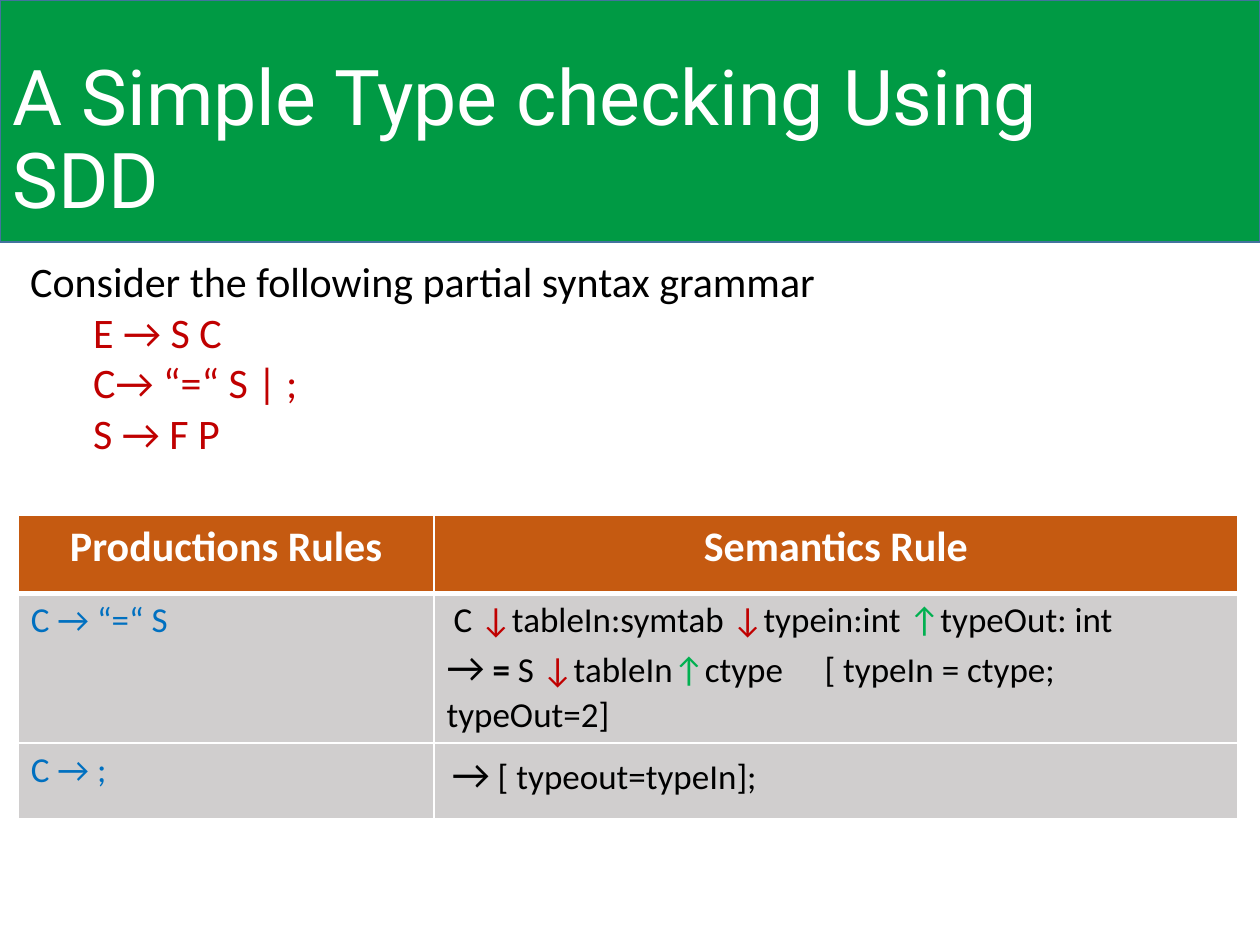
from lxml.etree import SubElement as Sub
from pptx import Presentation
from pptx.dml.color import RGBColor as Rgb
from pptx.enum.shapes import MSO_SHAPE as Kind
from pptx.enum.text import MSO_ANCHOR as Anchor, MSO_AUTO_SIZE as Fit, PP_ALIGN as Align
from pptx.oxml.ns import qn
from pptx.util import Pt

HUES = {
    "white": "FFFFFF", "black": "000000", "green": "009A44", "edge": "43739E",
    "rust": "C55A11", "grey": "D0CECE", "blue": "0070C0", "red": "C00000", "leaf": "00B050",
}
DOWN = ("↓", {"hue": "red"})
UP = ("↑", {"hue": "leaf"})
ARROW = ("→", {"size": 24})
GRAMMAR = ["E → S C", "C→ “=“ S | ;", "S → F P"]
HEADS = ["Productions Rules", "Semantics Rule"]
RULES = [
    ("C → “=“ S", [
        (4, ["C ", DOWN, "tableIn:symtab ", DOWN, "typein:int ", UP, "typeOut: int"]),
        (0, [ARROW, " ", ("=", {"bold": True}), " S ", DOWN, "tableIn", UP,
             "ctype\t[ typeIn = ctype; typeOut=2]"]),
    ]),
    ("C → ;", [(3, [ARROW, " [ typeout=typeIn];"])]),
]


def paint(fill, hue):
    """Give a fill one solid colour."""
    fill.solid()
    fill.fore_color.rgb = Rgb.from_string(HUES[hue])


def place(shape, *box):
    """Set left, top, width and height in points."""
    for name, val in zip(("left", "top", "width", "height"), box):
        setattr(shape, name, Pt(val))


def write(para, text, hue="black", size=24, bold=False, name="Calibri"):
    """Add one formatted run."""
    run = para.add_run()
    run.text = text
    for key, val in {"size": Pt(size), "bold": bold, "name": name}.items():
        setattr(run.font, key, val)
    run.font.color.rgb = Rgb.from_string(HUES[hue])


def indent(para, left):
    """Set a left margin without a bullet."""
    props = para._p.get_or_add_pPr()
    props.set("marL", str(Pt(left)))
    props.set("indent", "0")
    Sub(props, qn("a:buNone"))


def add_tab(para, pos):
    """Add a left tab stop."""
    tabs = Sub(para._p.get_or_add_pPr(), qn("a:tabLst"))
    Sub(tabs, qn("a:tab"), pos=str(Pt(pos)), algn="l")


def edge(cell, base=1):
    """Draw white cell borders with a given bottom width."""
    props = cell._tc.get_or_add_tcPr()
    for side, wide in {"L": 1, "R": 1, "T": 1, "B": base}.items():
        line = Sub(props, qn(f"a:ln{side}"), w=str(Pt(wide)))
        Sub(Sub(line, qn("a:solidFill")), qn("a:srgbClr"), val=HUES["white"])


def add_head(slide):
    """Build the green band and the title on it."""
    band = slide.shapes.add_shape(Kind.RECTANGLE, 0, 0, Pt(720), Pt(138.5))
    band.shadow.inherit = False
    paint(band.fill, "green")
    paint(band.line.fill, "edge")
    band.line.width = Pt(1)
    title = slide.shapes.title
    title._element.addprevious(band._element)
    place(title, 0, 28.8, 670.3, 104.4)
    frame = title.text_frame
    for key, val in {"auto_size": Fit.NONE, "vertical_anchor": Anchor.MIDDLE}.items():
        setattr(frame, key, val)
    para = frame.paragraphs[0]
    for key, val in {"alignment": Align.LEFT, "line_spacing": 0.9}.items():
        setattr(para, key, val)
    write(para, "A Simple Type checking Using SDD", "white", 44, name="Roboto")


def add_list(slide):
    """Fill the body with the grammar."""
    body = slide.placeholders[1]
    place(body, 10, 142.6, 697, 123.8)
    frame = body.text_frame
    frame.auto_size = Fit.NONE
    first = frame.paragraphs[0]
    indent(first, 0)
    write(first, "Consider the following partial syntax grammar")
    for text in GRAMMAR:
        para = frame.add_paragraph()
        para.level = 1
        indent(para, 36)
        write(para, text, "red")
    for para in frame.paragraphs:
        para.space_before = Pt(0)


def add_rule(cell, lines):
    """Write semantic lines made of plain and styled parts."""
    frame = cell.text_frame
    for num, (left, parts) in enumerate(lines):
        para = frame.add_paragraph() if num else frame.paragraphs[0]
        indent(para, left)
        if any("\t" in part for part in parts):
            add_tab(para, 206)
        for part in parts:
            text, look = (part, {}) if isinstance(part, str) else part
            write(para, text, **{"size": 20, **look})


def add_grid(slide):
    """Build the table of rules."""
    grid = slide.shapes.add_table(3, 2, Pt(10.4), Pt(294.6), Pt(697), Pt(140.4)).table
    for col, wide in zip(grid.columns, (237.6, 459.4)):
        col.width = Pt(wide)
    for row, high in zip(grid.rows, (44.4, 52.8, 43.2)):
        row.height = Pt(high)
    for col, text in enumerate(HEADS):
        cell = grid.cell(0, col)
        para = cell.text_frame.paragraphs[0]
        para.alignment = Align.CENTER
        write(para, text, "white", bold=True)
        edge(cell, 3)
        paint(cell.fill, "rust")
    for row, (rule, lines) in enumerate(RULES, 1):
        left, right = grid.rows[row].cells
        write(left.text_frame.paragraphs[0], rule, "blue", 20)
        add_rule(right, lines)
        for cell in (left, right):
            edge(cell)
            paint(cell.fill, "grey")


def main():
    """Build and save the slide."""
    deck = Presentation()
    deck.slide_width, deck.slide_height = Pt(720), Pt(540)
    slide = deck.slides.add_slide(deck.slide_layouts[1])
    add_head(slide)
    add_grid(slide)
    add_list(slide)
    deck.save("out.pptx")


if __name__ == "__main__":
    main()
